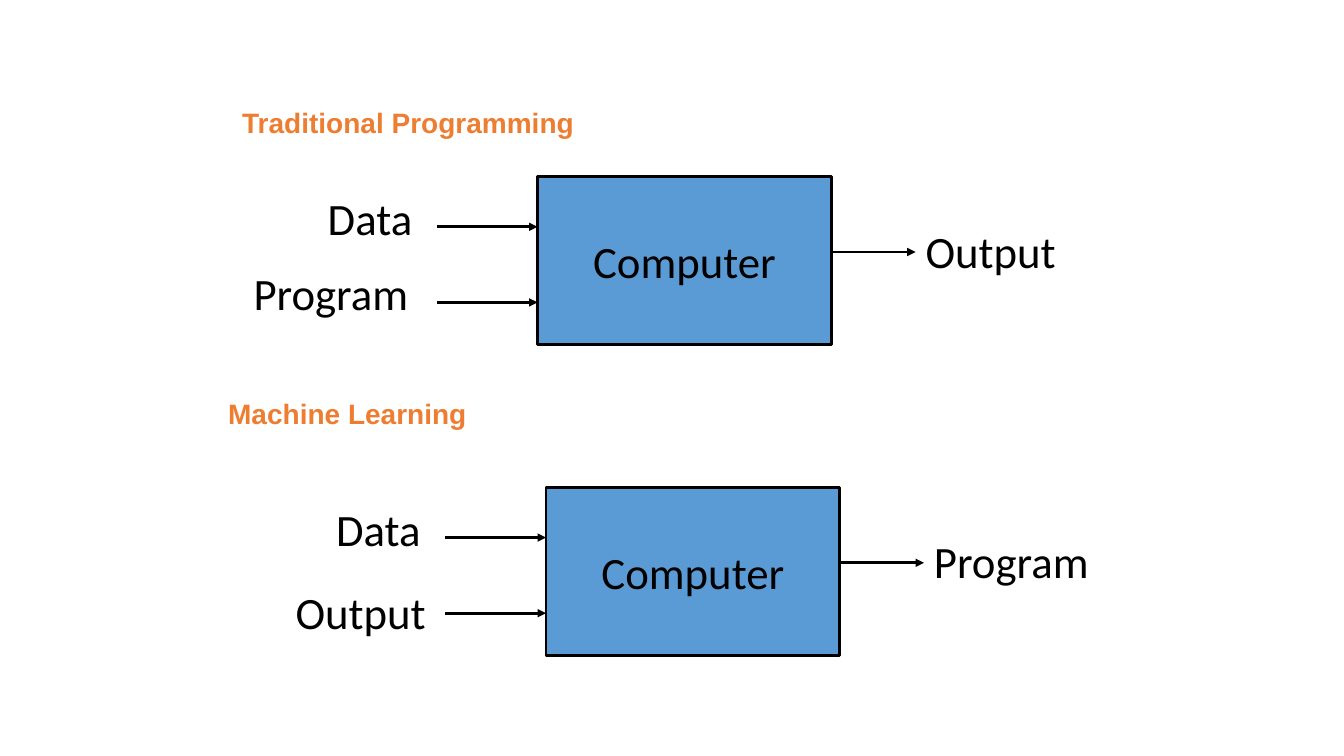
from dataclasses import dataclass

from lxml import etree
from pptx import Presentation
from pptx.dml.color import RGBColor
from pptx.enum import shapes, text
from pptx.oxml import ns
from pptx.util import Pt

COLORS = {"heading": "ED7D31", "box": "5B9BD5", "ink": "000000"}
HEADING = {"name": "Arial", "size": Pt(20), "bold": True}
LABEL = {"name": "Calibri", "size": Pt(32)}
LABEL_WIDTHS = {"Data": 76, "Program": 126, "Output": 110}
BOX_W, BOX_H = 210, 120
INPUT_YS, OUTPUT_Y = (36, 90), 54
INPUT_LEN, OUTPUT_LEN = 72, 60


@dataclass
class Label:
    text: str
    dx: float
    dy: float


@dataclass
class Diagram:
    title: str
    title_x: float
    title_y: float
    x: float
    y: float
    labels: list[Label]


DIAGRAMS = [
    Diagram("Traditional Programming", 173, 75, 384, 126,
            [Label("Data", -157, 7), Label("Program", -210, 60), Label("Output", 270, 30)]),
    Diagram("Machine Learning", 163, 283, 390, 348,
            [Label("Data", -157, 7), Label("Output", -186, 66), Label("Program", 270, 30)]),
]


def write(sp, content: str, font: dict, color: str):
    tf = sp.text_frame
    tf.word_wrap = False
    p = tf.paragraphs[0]
    r = p.add_run()
    r.text = content
    for key, value in font.items():
        setattr(r.font, key, value)
    r.font.color.rgb = RGBColor.from_string(COLORS[color])
    return tf


def outline(sp) -> None:
    sp.line.color.rgb = RGBColor.from_string(COLORS["ink"])
    sp.line.width = Pt(2)


def add_heading(s, d: Diagram) -> None:
    sp = s.shapes.add_textbox(Pt(d.title_x), Pt(d.title_y), Pt(260), Pt(24))
    tf = write(sp, d.title, HEADING, "heading")
    tf.word_wrap = True
    for side in ("left", "top", "right", "bottom"):
        setattr(tf, f"margin_{side}", Pt(0))


def add_label(s, label: Label, x: float, y: float) -> None:
    sp = s.shapes.add_textbox(Pt(x + label.dx), Pt(y + label.dy),
                              Pt(LABEL_WIDTHS[label.text]), Pt(46))
    write(sp, label.text, LABEL, "ink").auto_size = text.MSO_AUTO_SIZE.SHAPE_TO_FIT_TEXT


def add_box(s, x: float, y: float) -> None:
    sp = s.shapes.add_shape(shapes.MSO_SHAPE.RECTANGLE, Pt(x), Pt(y), Pt(BOX_W), Pt(BOX_H))
    sp.shadow.inherit = False
    sp.fill.solid()
    sp.fill.fore_color.rgb = RGBColor.from_string(COLORS["box"])
    outline(sp)
    tf = write(sp, "Computer", LABEL, "ink")
    tf.vertical_anchor = text.MSO_ANCHOR.MIDDLE
    tf.paragraphs[0].alignment = text.PP_ALIGN.CENTER


def add_arrow(s, x: float, y: float, length: float) -> None:
    sp = s.shapes.add_connector(shapes.MSO_CONNECTOR.STRAIGHT,
                                Pt(x), Pt(y), Pt(x + length), Pt(y))
    outline(sp)
    etree.SubElement(sp.line._get_or_add_ln(), ns.qn("a:tailEnd"), type="triangle")
    etree.SubElement(sp._element.spPr, ns.qn("a:effectLst"))


def add_diagram(s, d: Diagram) -> None:
    add_heading(s, d)
    add_box(s, d.x, d.y)
    for dy in INPUT_YS:
        add_arrow(s, d.x - INPUT_LEN, d.y + dy, INPUT_LEN)
    add_arrow(s, d.x + BOX_W, d.y + OUTPUT_Y, OUTPUT_LEN)
    for label in d.labels:
        add_label(s, label, d.x, d.y)


def main() -> None:
    """Build the slide comparing traditional programming with machine learning."""
    prs = Presentation()
    prs.slide_width, prs.slide_height = Pt(960), Pt(540)
    s = prs.slides.add_slide(prs.slide_layouts[6])
    for d in DIAGRAMS:
        add_diagram(s, d)
    prs.save("out.pptx")


if __name__ == "__main__":
    main()
